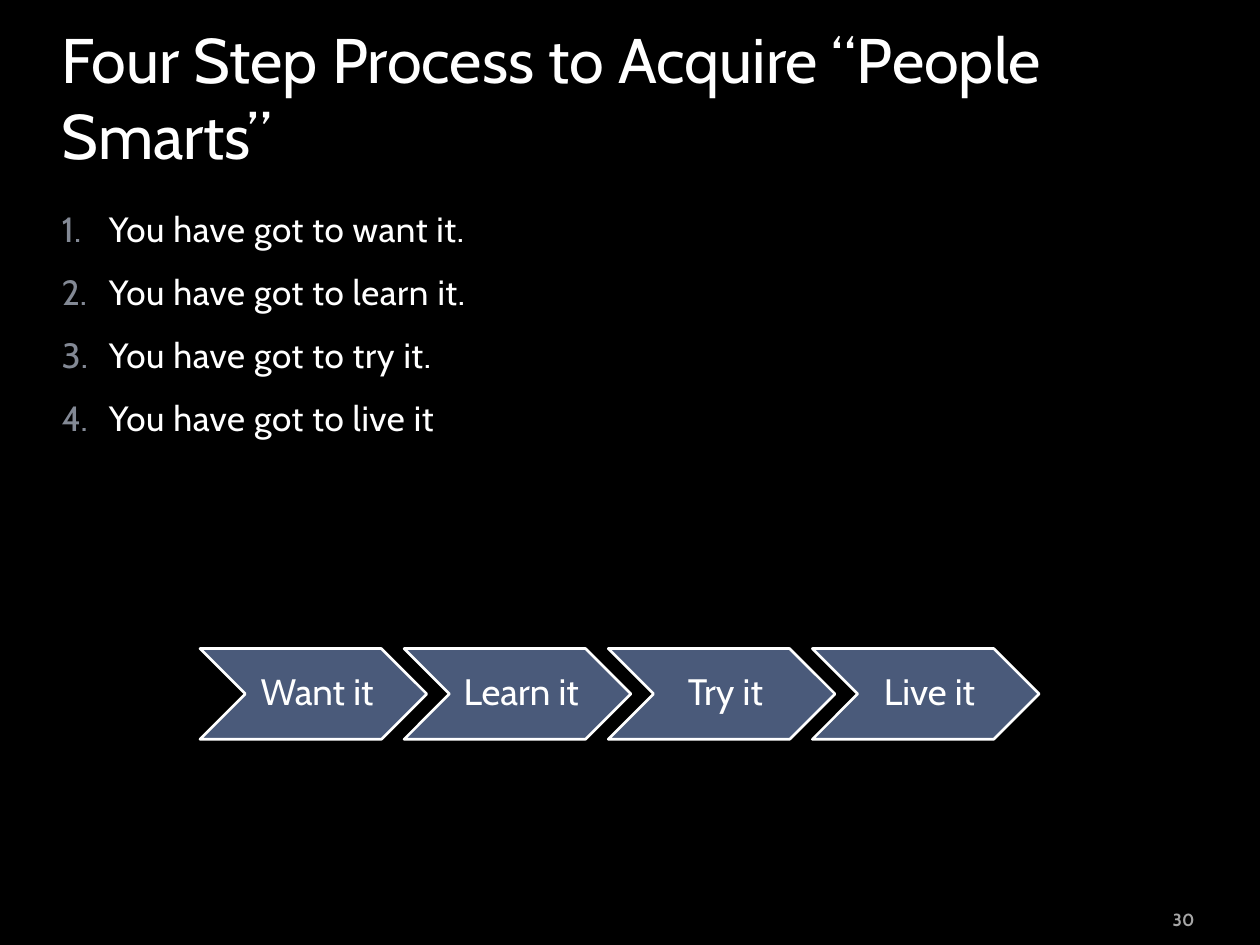
from lxml import etree
from pptx import Presentation
from pptx.dml.color import RGBColor
from pptx.enum.shapes import MSO_SHAPE
from pptx.enum.text import MSO_ANCHOR, MSO_AUTO_SIZE, PP_ALIGN
from pptx.oxml.ns import qn
from pptx.util import Pt

BLACK = RGBColor(0x00, 0x00, 0x00)
WHITE = RGBColor(0xFF, 0xFF, 0xFF)
SLATE = RGBColor(0x4A, 0x5A, 0x7A)
GRAY = RGBColor(0xA6, 0xA6, 0xA6)
NUMBER_COLOR = "838995"
FONT = "Cabin"

STEPS = ["You have got to want it.", "You have got to learn it.",
         "You have got to try it.", "You have got to live it"]
STAGES = ["Want it", "Learn it", "Try it", "Live it"]


def place(shape, left, top, width, height):
    shape.left, shape.top = Pt(left), Pt(top)
    shape.width, shape.height = Pt(width), Pt(height)


def write(paragraph, text, size, color=WHITE, align=PP_ALIGN.LEFT):
    paragraph.alignment = align
    run = paragraph.add_run()
    run.text = text
    run.font.name = FONT
    run.font.size = Pt(size)
    run.font.color.rgb = color
    return run


prs = Presentation()
prs.slide_width, prs.slide_height = Pt(720), Pt(540)
slide = prs.slides.add_slide(prs.slide_layouts[1])
slide.background.fill.solid()
slide.background.fill.fore_color.rgb = BLACK

title = slide.shapes.title
place(title, 28, 18, 605, 84)
title.text_frame.vertical_anchor = MSO_ANCHOR.BOTTOM
title.text_frame.auto_size = MSO_AUTO_SIZE.NONE
heading = title.text_frame.paragraphs[0]
heading.space_before = Pt(4)
write(heading, "Four Step Process to Acquire “People Smarts”", 36)

body = slide.placeholders[1]
place(body, 28, 115.2, 605, 372)
steps_frame = body.text_frame
steps_frame.auto_size = MSO_AUTO_SIZE.NONE
for i, step in enumerate(STEPS):
    paragraph = steps_frame.paragraphs[0] if i == 0 else steps_frame.add_paragraph()
    run = write(paragraph, step, 20)
    run.font._element.set("spc", "30")
    paragraph.space_before = Pt(12)
    props = paragraph._p.get_or_add_pPr()
    props.set("marL", str(Pt(27)))
    props.set("indent", str(-Pt(27)))
    bullet_color = etree.SubElement(props, qn("a:buClr"))
    etree.SubElement(bullet_color, qn("a:srgbClr"), val=NUMBER_COLOR)
    etree.SubElement(props, qn("a:buFont"), typeface=FONT)
    etree.SubElement(props, qn("a:buAutoNum"), type="arabicPeriod")

CHEVRON_LEFT, CHEVRON_TOP = 114.3, 370.6
CHEVRON_WIDTH, CHEVRON_HEIGHT = 129.6, 51.84
CHEVRON_PITCH = CHEVRON_WIDTH * 0.9
for i, stage in enumerate(STAGES):
    chevron = slide.shapes.add_shape(
        MSO_SHAPE.CHEVRON, Pt(CHEVRON_LEFT + i * CHEVRON_PITCH), Pt(CHEVRON_TOP),
        Pt(CHEVRON_WIDTH), Pt(CHEVRON_HEIGHT))
    chevron.shadow.inherit = False
    chevron.fill.solid()
    chevron.fill.fore_color.rgb = SLATE
    chevron.line.color.rgb = WHITE
    chevron.line.width = Pt(1.5)
    frame = chevron.text_frame
    frame.vertical_anchor = MSO_ANCHOR.MIDDLE
    frame.margin_left = Pt(6.5)
    frame.margin_right = frame.margin_top = frame.margin_bottom = Pt(2.2)
    frame.paragraphs[0].line_spacing = 0.9
    write(frame.paragraphs[0], stage, 21, align=PP_ALIGN.CENTER)

page_number = slide.shapes.add_textbox(Pt(620.6), Pt(515.5), Pt(69), Pt(19.4))
page_number.text_frame.word_wrap = True
page_number.text_frame.vertical_anchor = MSO_ANCHOR.MIDDLE
write(page_number.text_frame.paragraphs[0], "30", 10, GRAY, PP_ALIGN.RIGHT).font.bold = True

prs.save("out.pptx")
